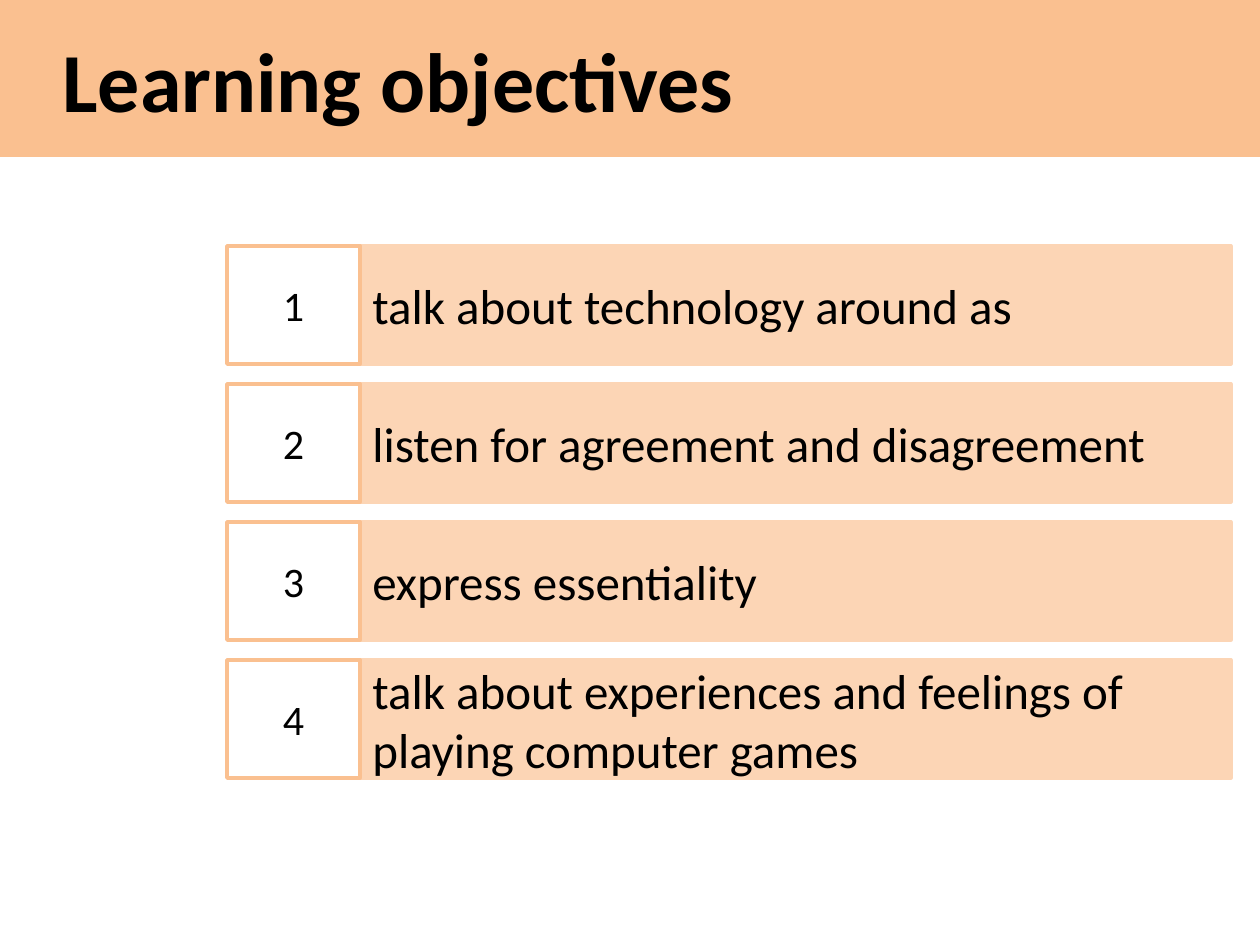
"""Build the learning objectives slide."""
from pptx import Presentation
from pptx.dml.color import RGBColor
from pptx.enum.shapes import MSO_SHAPE
from pptx.enum.text import MSO_ANCHOR, PP_ALIGN
from pptx.util import Inches, Pt

BLACK = RGBColor(0x00, 0x00, 0x00)
WHITE = RGBColor(0xFF, 0xFF, 0xFF)
ORANGE = RGBColor(0xFA, 0xC0, 0x90)
PEACH = RGBColor(0xFC, 0xD5, 0xB5)

SCALE = Inches(1) / 126
WIDTH, HEIGHT = 1260, 945
LEFT, TOP, PITCH = 227, 246, 138
BOX, BAR, ROW = 133, 871, 118

GOALS = [
    "talk about technology around as",
    "listen for agreement and disagreement",
    "express essentiality",
    "talk about experiences and feelings of playing computer games",
]


def px(count):
    return round(count * SCALE)


class Painter:
    def __init__(self, slide, font="Calibri"):
        self.slide = slide
        self.font = font

    def panel(self, frame, text, size, fill, line=None, align=PP_ALIGN.LEFT):
        shape = self.slide.shapes.add_shape(MSO_SHAPE.RECTANGLE, *map(px, frame))
        shape.shadow.inherit = False
        shape.fill.solid()
        shape.fill.fore_color.rgb = fill
        if line is None:
            shape.line.fill.background()
        else:
            shape.line.color.rgb = line
            shape.line.width = Pt(2)
        body = shape.text_frame
        body.word_wrap = True
        body.vertical_anchor = MSO_ANCHOR.MIDDLE
        para = body.paragraphs[0]
        para.text = text
        para.alignment = align
        para.font.name = self.font
        para.font.size = Pt(size)
        para.font.color.rgb = BLACK
        return para

    def banner(self, text):
        para = self.panel((0, 0, WIDTH, 157), text, 48, ORANGE)
        para.font.bold = True
        para._p.get_or_add_pPr().set("indent", str(px(50)))

    def goal(self, number, text):
        top = TOP + (number - 1) * PITCH
        self.panel((LEFT + BOX, top, BAR, ROW), text, 28, PEACH, PEACH)
        self.panel((LEFT, top, BOX, ROW), str(number), 24, WHITE, ORANGE, PP_ALIGN.CENTER)


def main():
    deck = Presentation()
    deck.slide_width, deck.slide_height = px(WIDTH), px(HEIGHT)
    painter = Painter(deck.slides.add_slide(deck.slide_layouts[6]))
    painter.banner("Learning objectives")
    for number, text in enumerate(GOALS, 1):
        painter.goal(number, text)
    deck.save("out.pptx")


if __name__ == "__main__":
    main()
